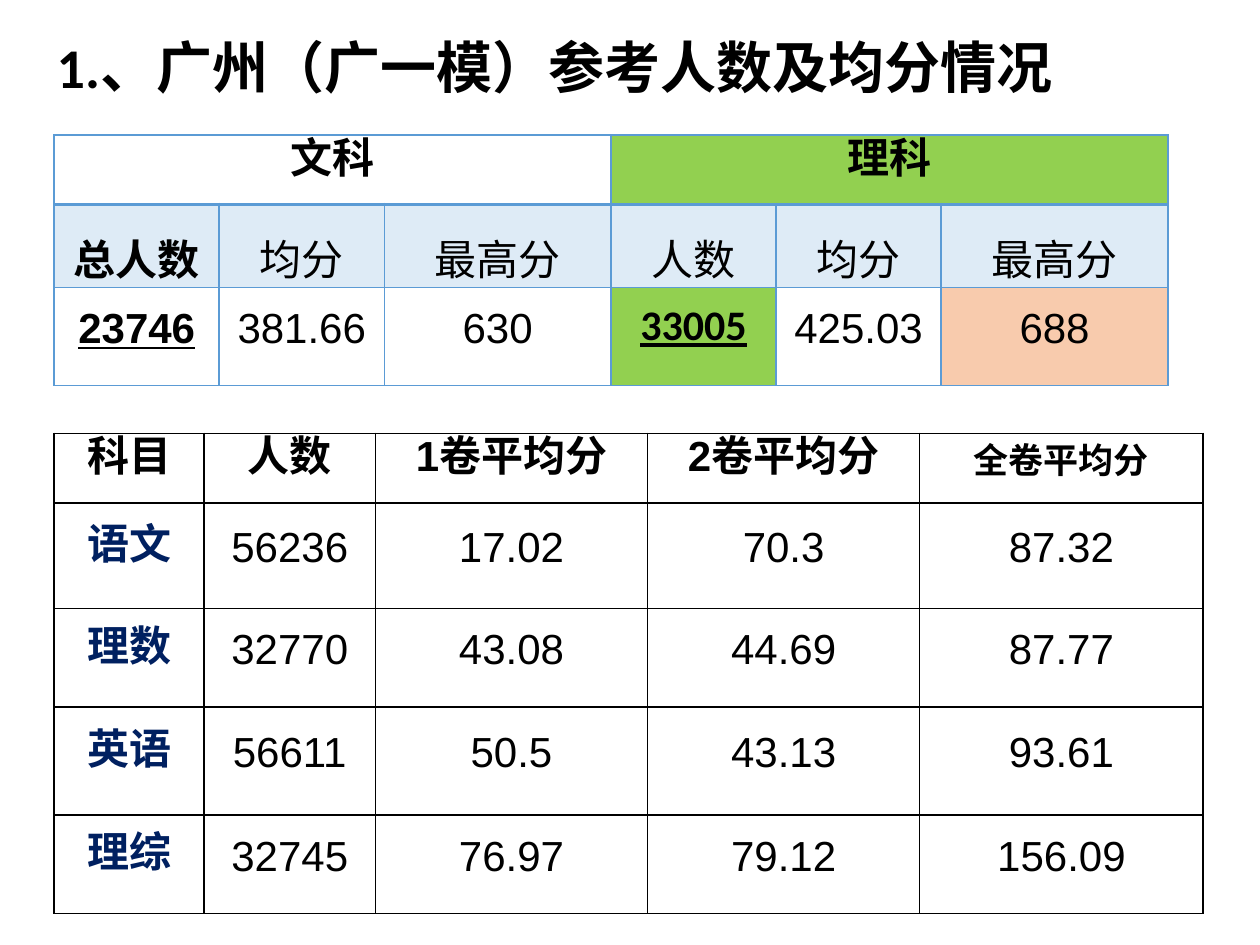
from dataclasses import dataclass

from lxml import etree
from pptx import Presentation, util as u
from pptx.dml.color import RGBColor
from pptx.enum import text
from pptx.oxml.ns import qn

BLACK = RGBColor(0x00, 0x00, 0x00)
NAVY = RGBColor(0x00, 0x20, 0x60)
BLUE = RGBColor(0x5B, 0x9B, 0xD5)
GREEN = RGBColor(0x92, 0xD0, 0x50)
PEACH = RGBColor(0xF8, 0xCB, 0xAD)

GRID_COLUMNS, GRID_ROWS = 100, 75
MIDDLE, BOTTOM = text.MSO_ANCHOR.MIDDLE, text.MSO_ANCHOR.BOTTOM


@dataclass
class Entry:
    """Wording and look of one table cell."""
    wording: str
    bold: bool = False
    underline: bool = False
    size: int = 24
    font: str = "Arial"
    color: RGBColor = BLACK
    fill: RGBColor = None
    opacity: int = 100
    anchor: text.MSO_ANCHOR = MIDDLE
    span: int = 1
    bottom_line: int = 1


class ScoreSlide:
    """Slide with a title and score tables, laid out on a 100 by 75 grid."""

    def __init__(self, deck):
        """Add a title-only slide to the deck."""
        self.slide = deck.slides.add_slide(deck.slide_layouts[5])
        self.column = deck.slide_width / GRID_COLUMNS
        self.row = deck.slide_height / GRID_ROWS

    def across(self, columns):
        """Turn grid columns into a length."""
        return u.Emu(round(columns * self.column))

    def down(self, rows):
        """Turn grid rows into a length."""
        return u.Emu(round(rows * self.row))

    def add_wording(self, paragraph, entry):
        """Add one formatted run to a paragraph."""
        run = paragraph.add_run()
        run.text = entry.wording
        run.font.name, run.font.size = entry.font, u.Pt(entry.size)
        run.font.bold, run.font.underline = entry.bold, entry.underline
        run.font.color.rgb = entry.color

    def title(self, left, top, width, height, entry):
        """Move and fill the title placeholder."""
        heading = self.slide.shapes.title
        heading.left, heading.top = self.across(left), self.down(top)
        heading.width, heading.height = self.across(width), self.down(height)
        frame = heading.text_frame
        frame.word_wrap = True
        frame.auto_size = text.MSO_AUTO_SIZE.SHAPE_TO_FIT_TEXT
        frame.vertical_anchor = text.MSO_ANCHOR.TOP
        frame.paragraphs[0].alignment = text.PP_ALIGN.LEFT
        self.add_wording(frame.paragraphs[0], entry)

    def borders(self, cell, color, bottom_line):
        """Draw the four sides of a cell."""
        properties = cell._tc.get_or_add_tcPr()
        for side, points in (("L", 1), ("R", 1), ("T", 1), ("B", bottom_line)):
            line = etree.SubElement(properties, qn(f"a:ln{side}"), w=str(u.Pt(points)))
            solid = etree.SubElement(line, qn("a:solidFill"))
            etree.SubElement(solid, qn("a:srgbClr"), val=str(color))

    def paint(self, cell, entry):
        """Fill a cell, or leave it clear."""
        if entry.fill is None:
            cell.fill.background()
            return
        cell.fill.solid()
        cell.fill.fore_color.rgb = entry.fill
        if entry.opacity < 100:
            shade = next(cell._tc.tcPr.find(qn("a:solidFill")).iterchildren())
            etree.SubElement(shade, qn("a:alpha"), val=str(entry.opacity * 1000))

    def fill_cell(self, cell, entry):
        """Place an entry in a cell."""
        cell.margin_left = cell.margin_right = u.Inches(0.06)
        cell.margin_top = cell.margin_bottom = 0
        cell.vertical_anchor = entry.anchor
        paragraph = cell.text_frame.paragraphs[0]
        paragraph.alignment = text.PP_ALIGN.CENTER
        paragraph.line_spacing = u.Pt(18)
        self.add_wording(paragraph, entry)

    def table(self, left, top, widths, heights, line_color, rows):
        """Build a table from rows of entries."""
        table = self.slide.shapes.add_table(
            len(heights), len(widths), self.across(left), self.down(top),
            self.across(sum(widths)), self.down(sum(heights))).table
        table.first_row = table.horz_banding = False
        for column, width in zip(table.columns, widths):
            column.width = self.across(width)
        for row, height in zip(table.rows, heights):
            row.height = self.down(height)
        for r, entries in enumerate(rows):
            c = 0
            for entry in entries:
                last = c + entry.span - 1
                if entry.span > 1:
                    table.cell(r, c).merge(table.cell(r, last))
                self.fill_cell(table.cell(r, c), entry)
                for part in range(c, last + 1):
                    self.borders(table.cell(r, part), line_color, entry.bottom_line)
                    self.paint(table.cell(r, part), entry)
                c = last + 1


def stream_rows():
    """Return the rows that compare arts and science candidates."""
    streams = [Entry("文科", bold=True, span=3, bottom_line=2),
               Entry("理科", bold=True, fill=GREEN, span=3, bottom_line=2)]
    measures = [Entry(name, bold=name == "总人数", fill=BLUE, opacity=20, anchor=BOTTOM)
                for name in ("总人数", "均分", "最高分", "人数", "均分", "最高分")]
    results = [Entry("23746", bold=True, underline=True), Entry("381.66"), Entry("630"),
               Entry("33005", bold=True, underline=True, font="Calibri", fill=GREEN),
               Entry("425.03"), Entry("688", fill=PEACH)]
    return [streams, measures, results]


def subject_rows():
    """Return the rows of average scores by subject."""
    headings = [Entry(name, bold=True) for name in ("科目", "人数", "1卷平均分", "2卷平均分")]
    headings.append(Entry("全卷平均分", bold=True, size=20))
    scores = {
        "语文": ("56236", "17.02", "70.3", "87.32"),
        "理数": ("32770", "43.08", "44.69", "87.77"),
        "英语": ("56611", "50.5", "43.13", "93.61"),
        "理综": ("32745", "76.97", "79.12", "156.09"),
    }
    return [headings] + [[Entry(subject, bold=True, color=NAVY), *map(Entry, values)]
                         for subject, values in scores.items()]


def main():
    """Build and save the slide."""
    deck = Presentation()
    deck.slide_width, deck.slide_height = u.Inches(10), u.Inches(7.5)
    page = ScoreSlide(deck)
    page.title(3.5, 2.1, 87.4, 6.4,
               Entry("1.、广州（广一模）参考人数及均分情况", bold=True, size=32, font="Calibri"))
    page.table(4.3, 34.4, (11.9, 13.6, 21.6, 21.6, 22.5), (5.5, 8.4, 7.8, 8.6, 7.8),
               BLACK, subject_rows())
    page.table(4.3, 10.7, (13.1, 13.1, 18) * 2, (5.5, 6.6, 7.8), BLUE, stream_rows())
    deck.save("out.pptx")


if __name__ == "__main__":
    main()
